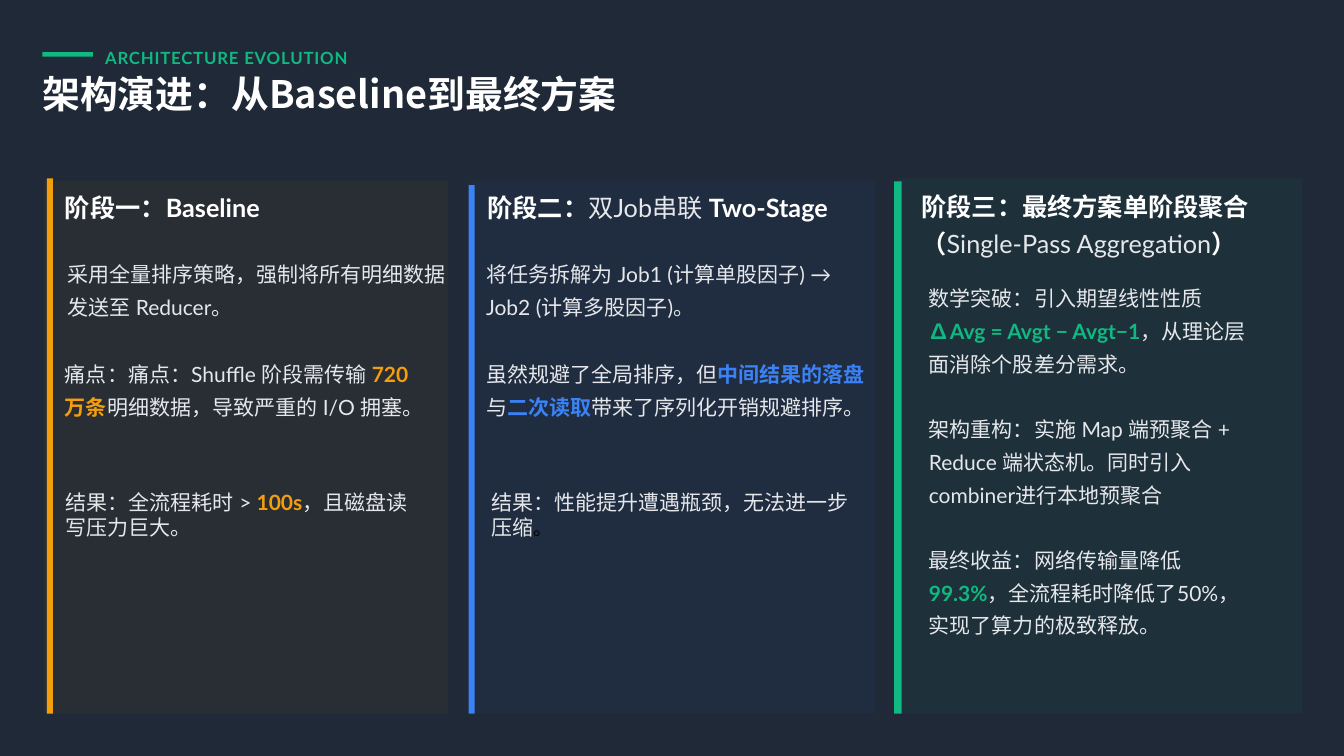
from dataclasses import dataclass

from lxml.etree import SubElement
from pptx import Presentation
from pptx.dml.color import RGBColor
from pptx.enum.shapes import MSO_SHAPE
from pptx.enum.text import MSO_ANCHOR
from pptx.oxml.ns import qn
from pptx.util import Inches, Pt


@dataclass(frozen=True)
class Theme:
    back: str = "1F2937"
    white: str = "FFFFFF"
    text: str = "E5E7EB"
    black: str = "000000"
    amber: str = "F59E0B"
    blue: str = "3B82F6"
    green: str = "10B981"
    face: str = "Lato"
    title_face: str = "Noto Sans CJK SC"
    stop_face: str = "Calibri"
    title: int = 36
    head: int = 24
    body: int = 20
    stop: int = 18
    label: int = 16
    gap: int = 31


class Deck:
    def __init__(self, theme):
        self.theme = theme
        self.file = Presentation()
        self.file.slide_width = Inches(17.78)
        self.file.slide_height = Inches(10)
        self.slide = self.file.slides.add_slide(self.file.slide_layouts[6])
        fill = self.slide.background.fill
        fill.solid()
        fill.fore_color.rgb = RGBColor.from_string(theme.back)

    def rect(self, box, color, alpha=None):
        """Add a plain block; alpha is its opacity in percent."""
        shape = self.slide.shapes.add_shape(
            MSO_SHAPE.RECTANGLE, *map(Inches, box))
        shape.shadow.inherit = False
        shape.line.fill.background()
        shape.fill.solid()
        shape.fill.fore_color.rgb = RGBColor.from_string(color)
        if alpha is not None:
            tint = shape.fill._xPr.find(".//" + qn("a:srgbClr"))
            SubElement(tint, qn("a:alpha")).set("val", str(alpha * 1000))

    def run(self, para, text, color, size, bold=False, face=None, track=None):
        face = face or self.theme.face
        run = para.add_run()
        run.text = text
        font = run.font
        font.size, font.bold, font.name = Pt(size), bold, face
        font.color.rgb = RGBColor.from_string(color)
        props = run._r.get_or_add_rPr()
        SubElement(props, qn("a:ea")).set("typeface", face)
        if track:
            props.set("spc", str(track))

    def text(self, box, paras, pitch=None, inset=False):
        """Add a text box; each paragraph is a list of run arguments."""
        frame = self.slide.shapes.add_textbox(*map(Inches, box)).text_frame
        frame.word_wrap = True
        if not inset:
            frame.vertical_anchor = MSO_ANCHOR.MIDDLE
            frame.margin_left = frame.margin_right = 0
            frame.margin_top = frame.margin_bottom = 0
        for i, runs in enumerate(paras):
            para = frame.add_paragraph() if i else frame.paragraphs[0]
            if pitch:
                para.line_spacing = pitch
            if i:
                para.space_before = Pt(self.theme.gap)
            for item in runs:
                self.run(para, *item)

    def panel(self, color, card, bar):
        """Add a tinted card and its accent bar, both ending on one base."""
        base = 9.44
        for (left, top, width), alpha in ((card, 5), (bar, None)):
            self.rect((left, top, width, base - top), color, alpha)


def main():
    t = Theme()
    deck = Deck(t)

    def plain(text):
        return text, t.text, t.body

    def key(text, color):
        return text, color, t.body, True

    def head(text):
        return text, t.white, t.head, True

    def soft(text):
        return text, t.text, t.head

    # Header
    deck.rect((0.56, 0.69, 0.67, 0.06), t.green)
    deck.text((1.39, 0.56, 3.31, 0.33), [[
        ("ARCHITECTURE EVOLUTION", t.green, t.label, True, t.face, 80)]], 1.3)
    deck.text((0.56, 1, 16.92, 0.56), [[
        ("架构演进：从Baseline到最终方案", t.white, t.title, True,
         t.title_face)]], 0.9)

    # Cards with accent bars
    wide = 5.35
    deck.panel(t.amber, (0.58, 2.39, wide), (0.62, 2.36, 0.08))
    deck.panel(t.blue, (6.23, 2.39, wide), (6.2, 2.45, 0.08))
    deck.panel(t.green, (11.88, 2.36, wide), (11.83, 2.4, 0.1))

    # Stage headings
    heads = [
        ((0.86, 2.51, 5.18, 0.39), [head("阶段一：Baseline")]),
        ((6.45, 2.51, 6.64, 0.39),
         [head("阶段二："), soft("双Job串联 "), head("Two-Stage")]),
        ((12.19, 2.74, 4.78, 0.39),
         [head("阶段三：最终方案单阶段聚合（"),
          soft("Single-Pass Aggregation"), head("）")]),
    ]
    for box, runs in heads:
        deck.text(box, [runs], 1.2)

    # Stages one and two: approach and pain point
    notes = [
        ((0.89, 3.63, 5.15, 0.33),
         [plain("采用全量排序策略，强制将所有明细数据发送至 Reducer。")]),
        ((0.86, 4.95, 4.86, 0.33),
         [plain("痛点：痛点：Shuffle 阶段需传输"), key(" 720 万条", t.amber),
          plain("明细数据，导致严重的 I/O 拥塞。")]),
        ((6.43, 3.63, 5.15, 0.33),
         [plain("将任务拆解为 Job1 (计算单股因子) → Job2 (计算多股因子)。")]),
        ((6.43, 4.95, 5.15, 0.33),
         [plain("虽然规避了全局排序，但"), key("中间结果的落盘", t.blue),
          plain("与"), key("二次读取", t.blue),
          plain("带来了序列化开销规避排序。")]),
    ]
    for box, runs in notes:
        deck.text(box, [runs], 1.3)

    # Stages one and two: results
    deck.text((0.77, 6.42, 4.97, 0.77), [[
        plain("结果：全流程耗时 >"), key(" 100s", t.amber),
        plain("，且磁盘读写压力巨大。")]], inset=True)
    deck.text((6.4, 6.42, 4.95, 0.77), [[
        plain("结果：性能提升遭遇瓶颈，无法进一步压缩"),
        ("。", t.black, t.stop, False, t.stop_face)]], inset=True)

    # Stage three: breakthrough, redesign and gain
    deck.text((12.19, 3.63, 4.4, 4.91), [
        [plain("数学突破：引入期望线性性质 "),
         key("∆Avg = Avgt − Avgt−1", t.green),
         plain("，从理论层面消除个股差分需求。")],
        [plain("架构重构：实施 Map 端预聚合 + Reduce 端状态机。"
               "同时引入combiner进行本地预聚合")],
        [plain("最终收益：网络传输量降低 "), key("99.3%", t.green),
         plain("，全流程耗时降低了50%，实现了算力的极致释放。")],
    ], 1.3, inset=True)

    deck.file.save("out.pptx")


if __name__ == "__main__":
    main()
